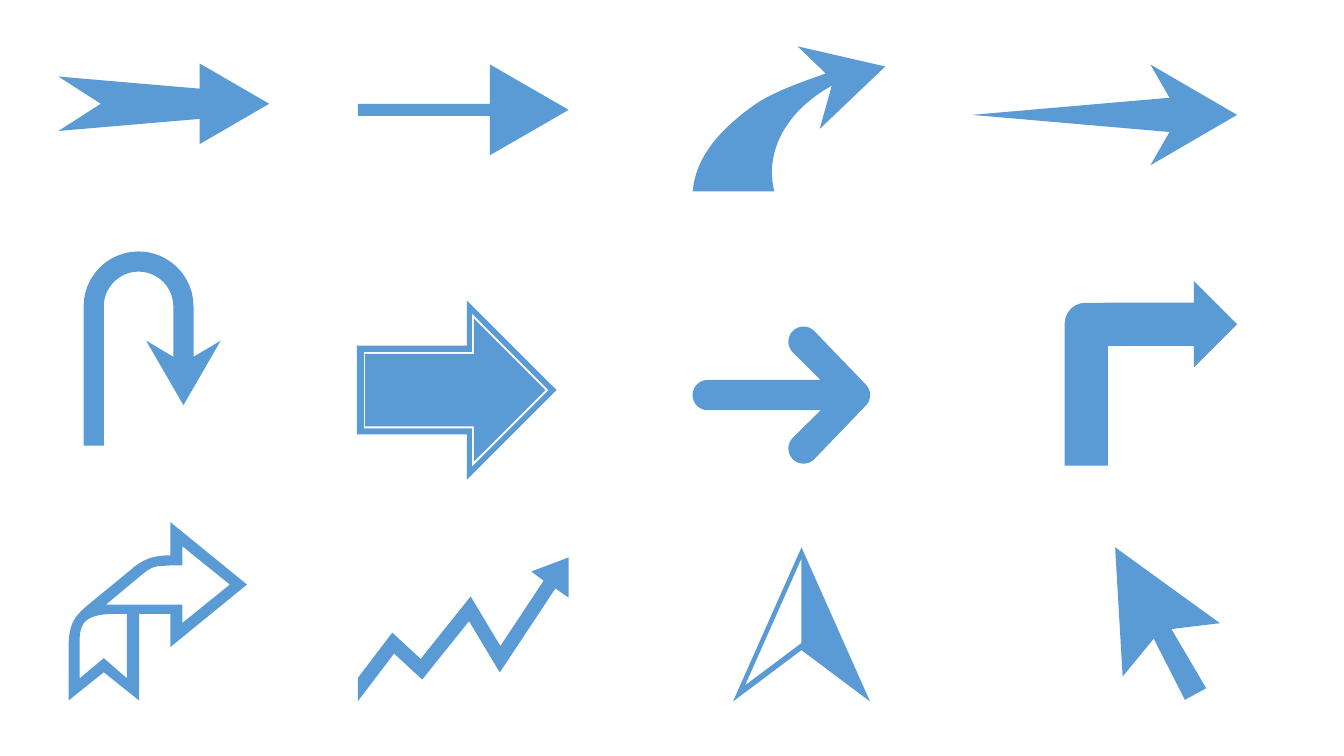
"""Build a slide with a sheet of twelve blue arrow icons."""
from math import atan2, cos, hypot, radians, sin

from pptx import Presentation, util as u
from pptx.dml.color import RGBColor
from pptx.enum import shapes

PX = u.Inches(1) // 100
COLORS = {"arrow": "5B9BD5"}
STEPS = 24


def arc(center, radius, start, end):
    """Return points on a circle between two angles, clockwise in degrees."""
    angles = [radians(start + (end - start) * step / STEPS) for step in range(STEPS + 1)]
    return [(center[0] + radius * cos(a), center[1] + radius * sin(a)) for a in angles]


def bezier(start, leave, arrive, end):
    """Return points on a cubic curve with two control points."""
    points = []
    for step in range(STEPS + 1):
        t = step / STEPS
        weights = ((1 - t) ** 3, 3 * t * (1 - t) ** 2, 3 * t * t * (1 - t), t ** 3)
        points.append(tuple(
            sum(weight * value for weight, value in zip(weights, axis))
            for axis in zip(start, leave, arrive, end)
        ))
    return points


def mirror_down(upper, middle):
    """Close an upper half outline with its reflection below a middle line."""
    return upper + [(x, 2 * middle - y) for x, y in reversed(upper)]


def mirror_left(right, center):
    """Close a right half outline with its reflection left of a center line."""
    return right + [(2 * center - x, y) for x, y in reversed(right)]


def block_arrow(left, neck, tip, middle, shaft, head):
    """Return a right arrow whose shaft and head have the given half heights."""
    upper = [(left, middle - shaft), (neck, middle - shaft), (neck, middle - head), (tip, middle)]
    return mirror_down(upper, middle)


def notched_arrow():
    """Return a right arrow with a flared, notched tail."""
    middle = 103
    upper = [(100, middle), (58, middle - 27), (198, middle - 15), (198, middle - 40), (267, middle)]
    return [mirror_down(upper, middle)]


def thin_arrow():
    """Return a right arrow with a narrow shaft."""
    return [block_arrow(355, 486, 564, middle=109, shaft=6, head=45)]


def swoosh_arrow():
    """Return an arrow that sweeps up and to the right."""
    outer_edge = (bezier((687, 190), (690, 155), (715, 128), (747, 105))
                  + bezier((747, 105), (762, 94), (787, 84), (819, 73)))
    head = [(791, 46), (878, 66), (813, 128)]
    inner_edge = bezier((825, 85), (780, 110), (758, 150), (768, 190))
    return [outer_edge + head + inner_edge]


def needle_arrow():
    """Return a right arrow whose shaft tapers to a point."""
    middle = 114
    upper = [(964, middle), (1160, middle - 17), (1141, middle - 50), (1227, middle)]
    return [mirror_down(upper, middle)]


def u_turn_arrow():
    """Return an arrow that rises, turns over a half circle and points down."""
    left, width, stroke, bend, notch = 83, 109, 20, 304, 354
    outer = width / 2
    inner = outer - stroke
    center = (left + outer, bend)
    right = left + width
    tip = right - stroke / 2
    head = [(right, notch), (tip + 37, 338), (tip, 402), (tip - 37, 338), (right - stroke, notch)]
    foot = [(left + stroke, 442), (left, 442)]
    return [arc(center, outer, 180, 360) + head + arc(center, inner, 360, 180) + foot]


def framed_arrow():
    """Return a solid arrow set inside an arrow-shaped frame."""
    middle = 387
    solid = block_arrow(362, 470, 541, middle, shaft=36, head=71)
    frame_inside = block_arrow(361, 468, 544, middle, shaft=38, head=76)
    frame_outside = block_arrow(354, 463, 552, middle, shaft=44, head=89)
    return [solid, frame_inside, frame_outside]


def rounded_arrow():
    """Return an arrow made of three strokes with round ends."""
    middle, radius = 392, 15
    tail_end = arc((702, middle), radius, 180, 270)
    inner_corner = [(814, middle - radius)]
    barb_end = arc((797, middle - 53), radius, 135, 315)
    tip = arc((848, middle), radius, 315, 360)
    return [mirror_down(tail_end + inner_corner + barb_end + tip, middle)]


def ribbon_arrow():
    """Return an outlined ribbon that folds into a right arrow."""
    middle, fork = 580, 103
    outer_head = [(169, middle + 29), (169, middle + 62), (245, middle),
                  (169, middle - 62), (169, middle - 29)]
    outer_bend = (bezier((169, 551), (152, 551), (141, 555), (129, 566))
                  + bezier((90, 598), (74, 611), (68, 618), (68, 644)))
    outer_tail = [(fork - 35, 695), (fork, 667), (fork + 35, 695), (fork + 35, middle + 29)]
    outer = outer_head + outer_bend + outer_tail

    head_hole = ([(181, 600), (181, middle + 38), (228, middle), (181, middle - 38), (181, 561)]
                 + bezier((169, 561), (154, 562), (152, 561), (141, 570)) + [(105, 600)])
    tail_hole = (bezier((79, 636), (79, 615), (88, 609), (117, 609))
                 + [(126, 609), (126, 673), (fork, 653), (79, 673)])
    return [tail_hole, head_hole, outer]


def trend_arrow():
    """Return a rising zigzag stroke with mitred corners and an arrowhead."""
    half = 7
    line = [(355, 684), (390, 638), (418, 664), (466, 604), (496, 654), (545, 580)]
    normals = []
    for (x, y), (next_x, next_y) in zip(line, line[1:]):
        length = hypot(next_x - x, next_y - y)
        normals.append(((next_y - y) / length, (x - next_x) / length))

    offsets = [(0, half / normals[0][1] * -normals[0][1] / abs(normals[0][1]))]
    for (ax, ay), (bx, by) in zip(normals, normals[1:]):
        miter = half / (1 + ax * bx + ay * by)
        offsets.append(((ax + bx) * miter, (ay + by) * miter))
    offsets.append((normals[-1][0] * half, normals[-1][1] * half))
    offsets[0] = (0, half / normals[0][1])

    upper = [(x + dx, y + dy) for (x, y), (dx, dy) in zip(line, offsets)]
    lower = [(x - dx, y - dy) for (x, y), (dx, dy) in zip(line, offsets)]
    head = [(527, 567), (564, 553), (564, 593)]
    return [upper + head + lower[::-1]]


def compass_arrow():
    """Return a compass needle with a hollow left half."""
    center = 795
    needle = mirror_left([(center, 543), (center + 68, 696), (center, 645)], center)
    hollow = [(center, 554), (739, 680), (center, 638)]
    return [needle, hollow]


def cursor_arrow():
    """Return a pointer, drawn along its axis and turned about its tip."""
    tip_x, tip_y = 1106, 543
    turn = atan2(146, 80)
    wing, neck, tail = (116, -55), (98, -10), (166, -12)
    outline = mirror_down([(0, 0), wing, neck, tail], 0)
    return [[(tip_x + along * cos(turn) - across * sin(turn),
              tip_y + along * sin(turn) + across * cos(turn)) for along, across in outline]]


def paint(shape):
    """Give a shape the flat arrow colour without line or shadow."""
    shape.shadow.inherit = False
    shape.fill.solid()
    shape.fill.fore_color.rgb = RGBColor.from_string(COLORS["arrow"])
    shape.line.fill.background()


def add_icon(page, outlines):
    """Draw one icon from one or more closed outlines."""
    contours = [[(round(x * PX), round(y * PX)) for x, y in outline] for outline in outlines]
    builder = page.shapes.build_freeform(*contours[0][0])
    for index, contour in enumerate(contours):
        if index:
            builder.move_to(*contour[0])
        builder.add_line_segments(contour[1:], close=True)
    paint(builder.convert_to_shape())


def add_bent_arrow(page, left, top, width, height, bend):
    """Draw a preset bent arrow with the given bend radius."""
    box = [length * PX for length in (left, top, width, height)]
    arrow = page.shapes.add_shape(shapes.MSO_SHAPE.BENT_ARROW, *box)
    for index, value in enumerate((0.25, 0.25, 0.25, bend)):
        arrow.adjustments[index] = value
    paint(arrow)


def main():
    """Lay out the icons and save the deck."""
    deck = Presentation()
    deck.slide_width, deck.slide_height = 1333 * PX, 750 * PX
    page = deck.slides.add_slide(deck.slide_layouts[6])
    for icon in (notched_arrow, thin_arrow, swoosh_arrow, needle_arrow, u_turn_arrow, framed_arrow,
                 rounded_arrow, ribbon_arrow, trend_arrow, compass_arrow, cursor_arrow):
        add_icon(page, icon())
    add_bent_arrow(page, 1056, 279, 171, 183, bend=0.12)
    deck.save("out.pptx")


if __name__ == "__main__":
    main()
